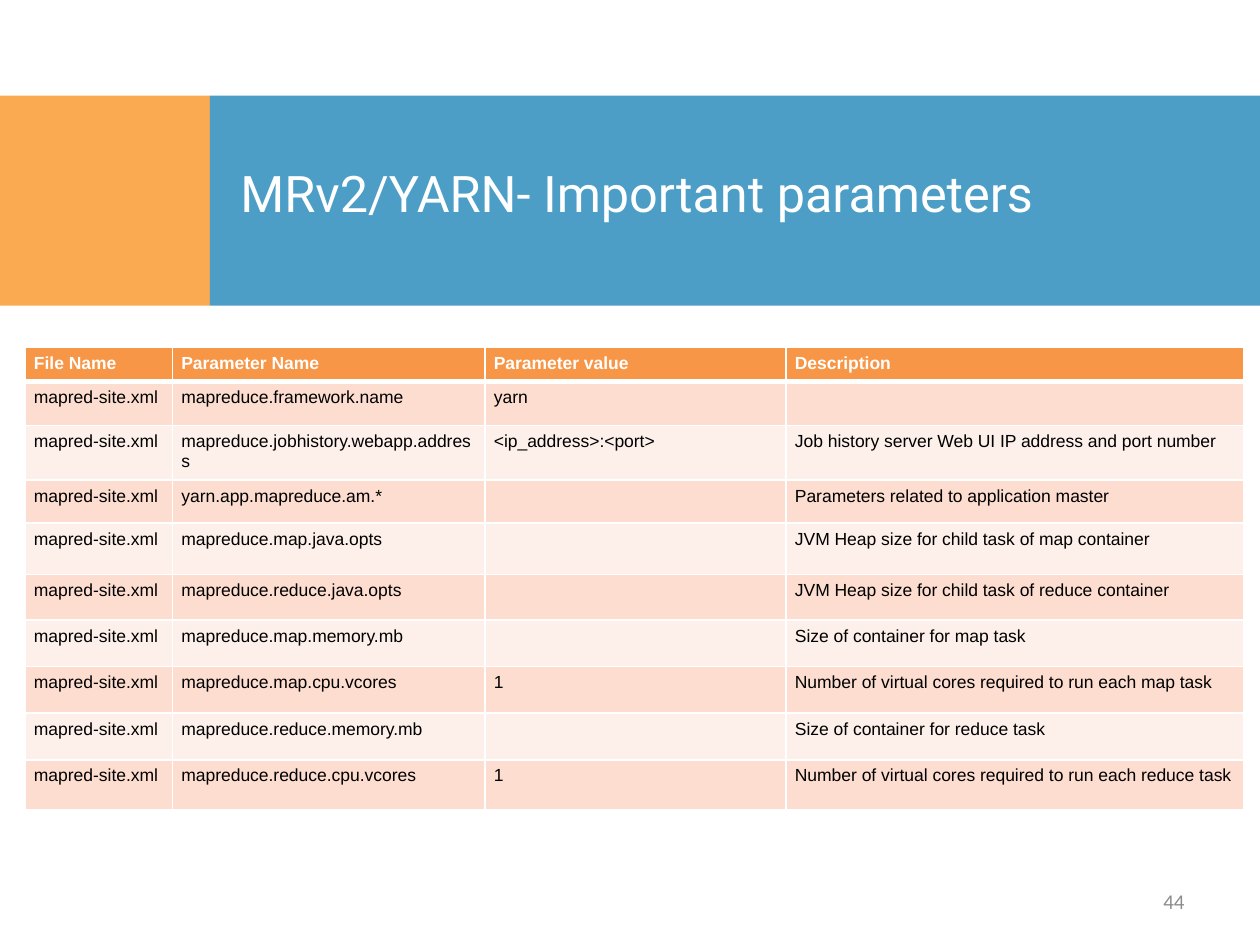
"""Build the slide on important MRv2/YARN parameters."""
from lxml import etree
from pptx import Presentation, util as u
from pptx.dml.color import RGBColor
from pptx.enum import shapes, text
from pptx.oxml import ns

TITLE = "MRv2/YARN- Important parameters"
PAGE = "44"
HEAD = ["File Name", "Parameter Name", "Parameter value", "Description"]
FILE = "mapred-site.xml"
ROWS = [
    ("mapreduce.framework.name", "yarn", ""),
    ("mapreduce.jobhistory.webapp.address", "<ip_address>:<port>",
     "Job history server Web UI IP address and port number"),
    ("yarn.app.mapreduce.am.*", "", "Parameters related to application master"),
    ("mapreduce.map.java.opts", "", "JVM Heap size for child task of map container"),
    ("mapreduce.reduce.java.opts", "", "JVM Heap size for child task of reduce container"),
    ("mapreduce.map.memory.mb", "", "Size of container for map task"),
    ("mapreduce.map.cpu.vcores", "1", "Number of virtual cores required to run each map task"),
    ("mapreduce.reduce.memory.mb", "", "Size of container for reduce task"),
    ("mapreduce.reduce.cpu.vcores", "1", "Number of virtual cores required to run each reduce task"),
]
WIDE, HIGH = 10, 7.5
COLS = [1.17, 2.48, 2.39, 3.63]
TALL = [0.24, 0.35, 0.41, 0.34, 0.41, 0.36, 0.37, 0.37, 0.37, 0.4]
BAND_TOP, BAND = 0.76, WIDE / 6
INK = {"orange": "F88608", "blue": "0075B0", "white": "FFFFFF", "grey": "8C8C8C",
       "black": "000000", "head": "F79646", "odd": "FCDDCF", "even": "FDEFE9"}


def hue(name):
    return RGBColor.from_string(INK[name])


def style(part, size, face, color, bold=False):
    for run in part.runs:
        font = run.font
        font.size, font.name, font.bold = u.Pt(size), face, bold
        font.color.rgb = hue(color)


def band(slide, left, width, color):
    box = slide.shapes.add_shape(shapes.MSO_SHAPE.RECTANGLE, u.Inches(left),
                                 u.Inches(BAND_TOP), u.Inches(width), u.Inches(BAND))
    box.shadow.inherit = False
    box.line.fill.background()
    box.fill.solid()
    box.fill.fore_color.rgb = hue(color)
    tint = box.element.find(".//" + ns.qn("a:srgbClr"))
    etree.SubElement(tint, ns.qn("a:alpha"), val="70000")


def label(slide, words, area, size, face, color, align):
    box = slide.shapes.add_textbox(*map(u.Inches, area))
    frame = box.text_frame
    frame.word_wrap = True
    frame.vertical_anchor = text.MSO_ANCHOR.MIDDLE
    frame.text = words
    frame.paragraphs[0].alignment = align
    style(frame.paragraphs[0], size, face, color)


def edge(cell, widths):
    props = cell._tc.get_or_add_tcPr()
    for spot, (side, points) in enumerate(widths.items()):
        line = etree.Element(ns.qn("a:ln" + side), w=str(u.Pt(points)))
        paint = etree.SubElement(line, ns.qn("a:solidFill"))
        etree.SubElement(paint, ns.qn("a:srgbClr"), val=INK["white"])
        props.insert(spot, line)


def fill_cell(cell, words, row):
    cell.margin_left = cell.margin_right = u.Inches(0.07)
    cell.margin_top = cell.margin_bottom = u.Inches(0.05)
    cell.fill.solid()
    cell.fill.fore_color.rgb = hue("head" if row == 0 else "odd" if row % 2 else "even")
    cell.text_frame.text = words
    part = cell.text_frame.paragraphs[0]
    style(part, 10, "Arial", "black" if row else "white", row == 0)
    if not words:
        etree.SubElement(part._p, ns.qn("a:endParaRPr"), sz="1000")
    edge(cell, {"L": 1, "R": 1, "T": 3 if row == 1 else 1, "B": 1 if row else 3})


def grid(slide):
    data = [HEAD] + [(FILE, *row) for row in ROWS]
    area = (0.2, 2.76, sum(COLS), sum(TALL))
    table = slide.shapes.add_table(len(data), len(COLS), *map(u.Inches, area)).table
    for col, width in zip(table.columns, COLS):
        col.width = u.Inches(width)
    for row, tall in zip(table.rows, TALL):
        row.height = u.Inches(tall)
    for r, line in enumerate(data):
        for c, words in enumerate(line):
            fill_cell(table.cell(r, c), words, r)


def main():
    deck = Presentation()
    deck.slide_width, deck.slide_height = u.Inches(WIDE), u.Inches(HIGH)
    slide = deck.slides.add_slide(deck.slide_layouts[6])
    band(slide, 0, BAND, "orange")
    band(slide, BAND, WIDE - BAND, "blue")
    label(slide, TITLE, (1.81, 1.22, 7.94, 0.62), 28.8, "Roboto", "white", text.PP_ALIGN.LEFT)
    label(slide, PAGE, (7.17, 6.95, 2.33, 0.4), 12, "Calibri", "grey", text.PP_ALIGN.RIGHT)
    grid(slide)
    deck.save("out.pptx")


if __name__ == "__main__":
    main()
